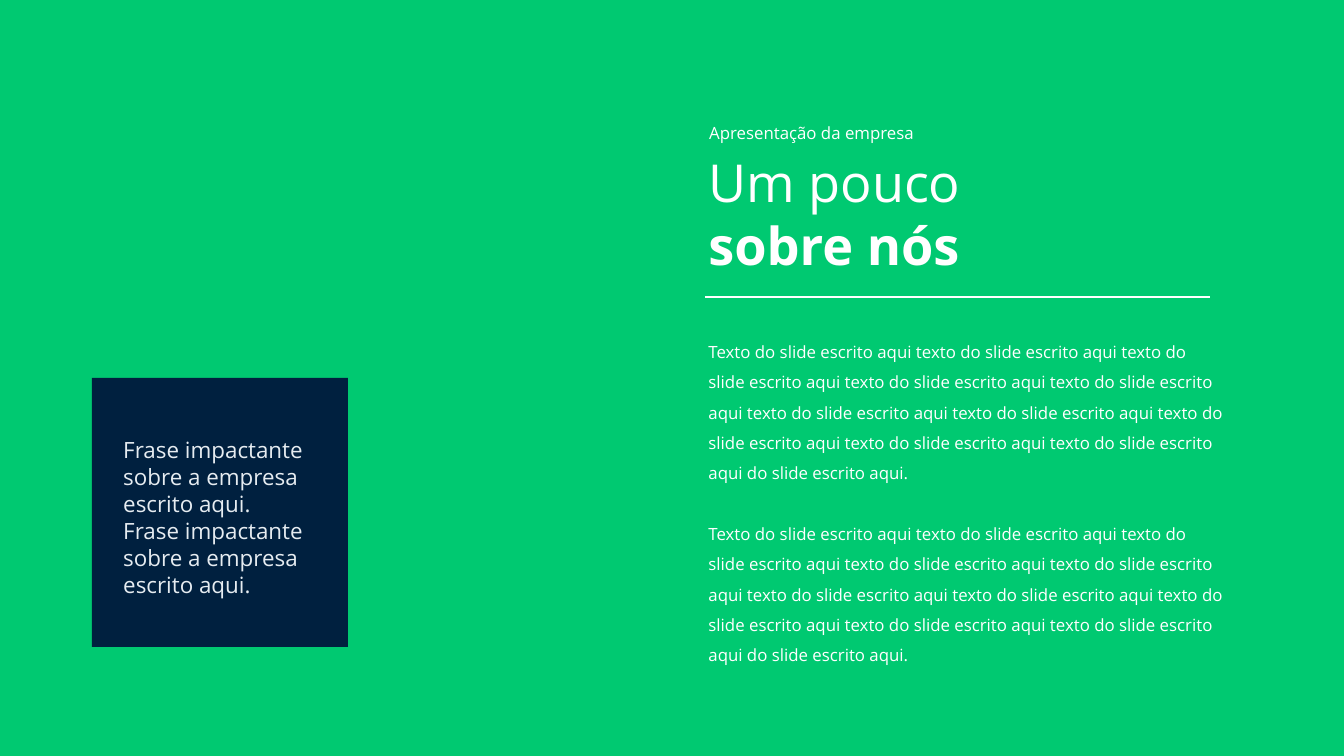
"""Build the "Um pouco sobre nós" company introduction slide."""
from lxml import etree
from pptx import Presentation
from pptx.dml.color import RGBColor
from pptx.enum.shapes import MSO_CONNECTOR, MSO_SHAPE
from pptx.enum.text import MSO_ANCHOR, MSO_AUTO_SIZE, PP_ALIGN
from pptx.oxml.ns import qn
from pptx.util import Pt

PX = 9144000 / 1344
GREEN = RGBColor(0x00, 0xC9, 0x71)
NAVY = RGBColor(0x00, 0x20, 0x3F)
PALE = RGBColor(0xE6, 0xEC, 0xF1)
WHITE = RGBColor(0xFF, 0xFF, 0xFF)
RECT = MSO_SHAPE.RECTANGLE
STRAIGHT = MSO_CONNECTOR.STRAIGHT
TOP = MSO_ANCHOR.TOP
GROW = MSO_AUTO_SIZE.SHAPE_TO_FIT_TEXT
LEFT = PP_ALIGN.LEFT

QUOTE = "Frase impactante sobre a empresa escrito aqui."
BODY = ("Texto do slide escrito aqui " + "texto do slide escrito aqui " * 9
        + "do slide escrito aqui.")


def emu(*lengths):
    return [round(n * PX) for n in lengths]


def write(sp, box, paragraphs, size, color, spacing=1.0, gap=0):
    sp.left, sp.top, sp.width, sp.height = emu(*box)
    tf = sp.text_frame
    for name, value in {"word_wrap": True, "auto_size": GROW,
                        "vertical_anchor": TOP}.items():
        setattr(tf, name, value)
    for i, runs in enumerate(paragraphs):
        p = tf.add_paragraph() if i else tf.paragraphs[0]
        for name, value in {"alignment": LEFT, "line_spacing": spacing,
                            "space_before": Pt(gap if i else 0),
                            "space_after": Pt(0)}.items():
            setattr(p, name, value)
        for text, bold in runs:
            r = p.add_run()
            r.text = text
            for name, value in {"name": "Open Sans", "size": Pt(size),
                                "bold": bold}.items():
                setattr(r.font, name, value)
            r.font.color.rgb = color


prs = Presentation()
prs.slide_width, prs.slide_height = emu(1344, 756)
s = prs.slides.add_slide(prs.slide_layouts[1])
s.background.fill.solid()
s.background.fill.fore_color.rgb = GREEN

title, body = s.placeholders
write(title, (695, 144, 384, 140),
      [[("Um pouco ", False), ("sobre nós", True)]], 28, WHITE)
write(body, (695, 325, 543, 345), [[(BODY, False)]] * 2, 9, WHITE,
      spacing=1.5, gap=16.2)
for p in body.text_frame.paragraphs:
    pPr = p._p.get_or_add_pPr()
    pPr.set("marL", "0")
    pPr.set("indent", "0")
    etree.SubElement(pPr, qn("a:buNone"))

card = s.shapes.add_shape(RECT, *emu(92, 378, 256, 269))
card.shadow.inherit = False
card.fill.solid()
card.fill.fore_color.rgb = NAVY
card.line.fill.background()

for box, paragraphs, size, color in (
    ((110, 430, 224, 176), [[(QUOTE, False)]] * 2, 12, PALE),
    ((696, 116, 476, 34), [[("Apresentação da empresa", False)]], 9, WHITE),
):
    write(s.shapes.add_textbox(*emu(*box)), box, paragraphs, size, color)

rule = s.shapes.add_connector(STRAIGHT, *emu(705, 297, 1210, 297))
rule.line.color.rgb = WHITE
rule.line.width = Pt(1.5)
etree.SubElement(rule._element.spPr, qn("a:effectLst"))

prs.save("out.pptx")
